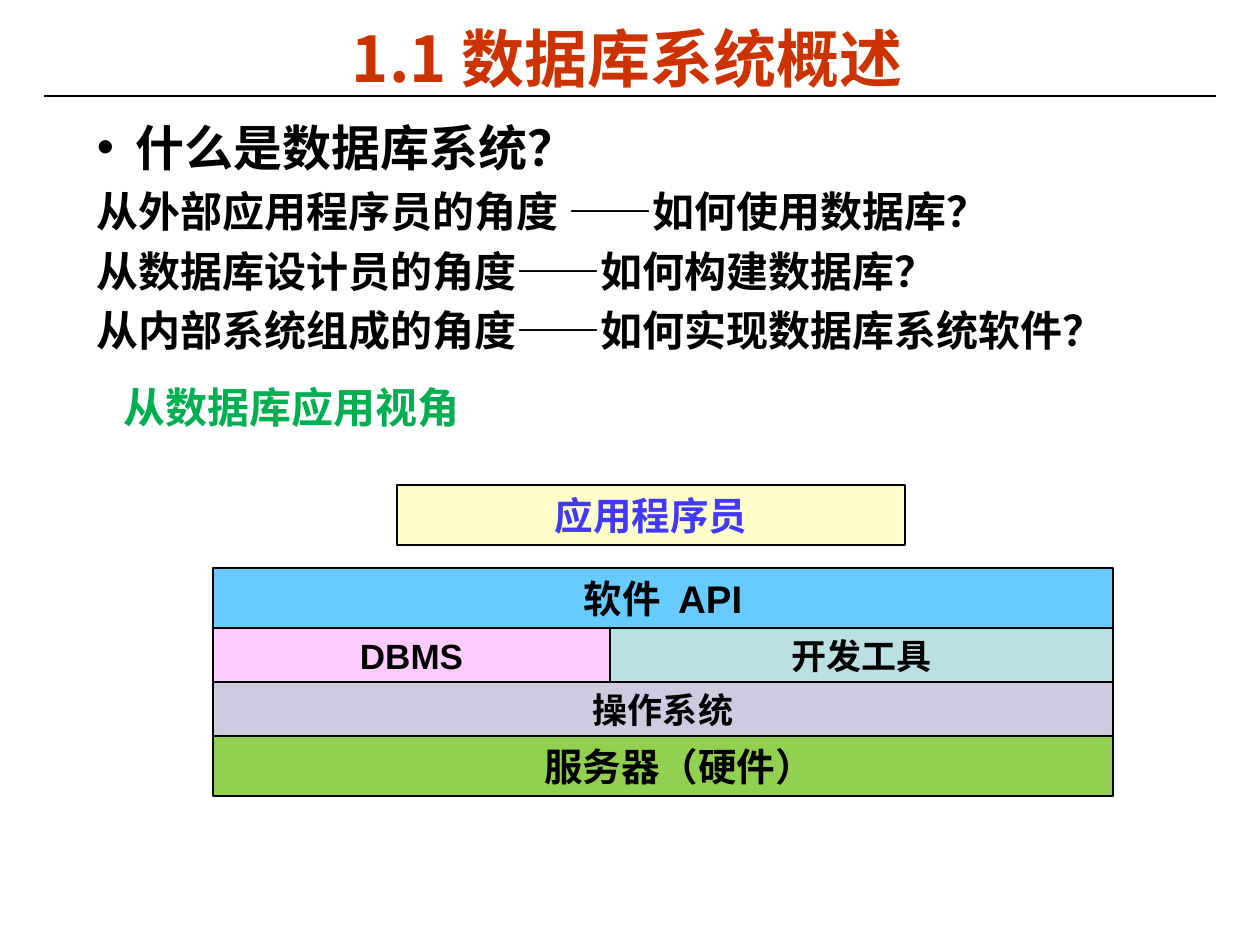
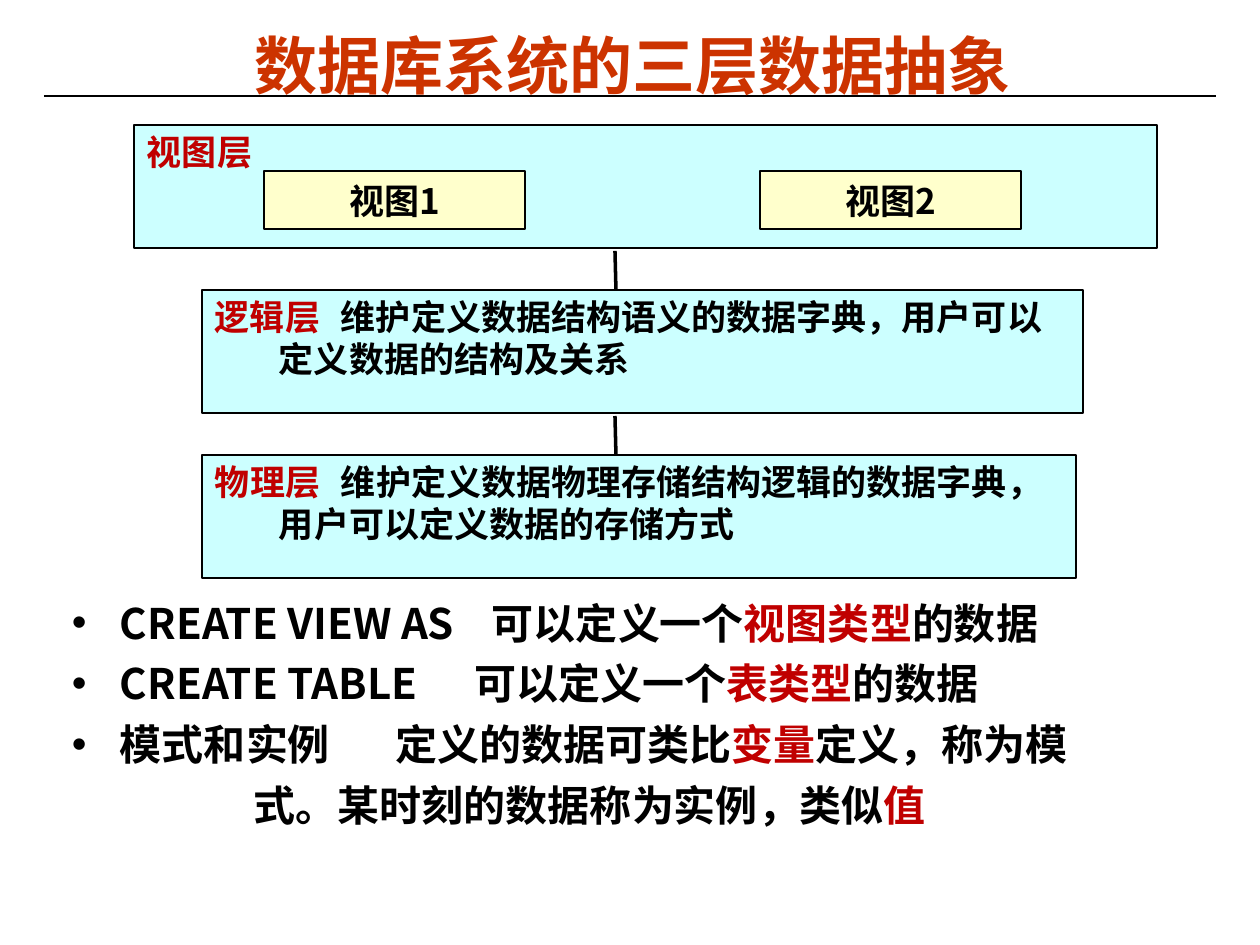
"""Builds two slides on database system basics and the three layers of data abstraction."""
from lxml import etree
from pptx import Presentation
from pptx.dml.color import RGBColor
from pptx.enum.shapes import MSO_CONNECTOR, MSO_SHAPE
from pptx.enum.text import MSO_ANCHOR, PP_ALIGN
from pptx.oxml.ns import qn
from pptx.util import Emu, Pt

STRAIGHT = MSO_CONNECTOR.STRAIGHT
RECTANGLE = MSO_SHAPE.RECTANGLE
TOP, MIDDLE = MSO_ANCHOR.TOP, MSO_ANCHOR.MIDDLE
LEFT, CENTER = PP_ALIGN.LEFT, PP_ALIGN.CENTER

EMU_PER_PX = 914400 / 126
CJK, LATIN = "Noto Sans CJK SC", "Arial"
LINE_HEIGHT = 1.2
COLORS = {
    "ink": "000000", "title": "CC3300", "key": "C00000", "view": "00B050",
    "user": "4138FA", "cream": "FFFFCC", "sky": "66CCFF", "pink": "FFCCFF",
    "teal": "BBE0E3", "lilac": "CFCAE0", "green": "92D050", "layer": "CCFFFF",
}

OVERVIEW_TITLE = "1.1 数据库系统概述"
QUESTION = "什么是数据库系统？"
ANGLES = [
    "从外部应用程序员的角度 ——如何使用数据库？",
    "从数据库设计员的角度——如何构建数据库？",
    "从内部系统组成的角度——如何实现数据库系统软件？",
]
VIEWPOINT = "从数据库应用视角"
PROGRAMMER = "应用程序员"
STACK = [
    (60, [("软件  API", 22, LATIN, "sky", 900, 0)]),
    (54, [("DBMS", 20, LATIN, "pink", 397, 0), ("开发工具", 20, CJK, "teal", 503, 0)]),
    (54, [("操作系统", 20, CJK, "lilac", 900, 0)]),
    (60, [("服务器（硬件）", 22, LATIN, "green", 900, 32)]),
]

ABSTRACTION_TITLE = "数据库系统的三层数据抽象"
VIEW_LAYER = "视图层"
VIEWS = ["视图1", "视图2"]
LAYERS = [
    ("逻辑层", "维护定义数据结构语义的数据字典，用户可以", "定义数据的结构及关系", 881),
    ("物理层", "维护定义数据物理存储结构逻辑的数据字典，", "用户可以定义数据的存储方式", 874),
]
STATEMENTS = [
    ("CREATE VIEW AS", 420, "可以定义一个", "视图类型", "的数据"),
    ("CREATE TABLE", 403, "可以定义一个", "表类型", "的数据"),
    ("模式和实例", 324, "定义的数据可类比", "变量", "定义，称为模"),
]
INSTANCE = [("式。某时刻的数据称为实例，类似", "ink"), ("值", "key")]


def px(value):
    return Emu(round(value * EMU_PER_PX))


def rgb(name):
    return RGBColor.from_string(COLORS[name])


def para(*runs, size=24, font=CJK, align=LEFT, margin=0, hang=0, bullet=False,
         tab=None, line=None, before=0):
    return dict(runs=runs, size=size, font=font, align=align, margin=margin, hang=hang,
                bullet=bullet, tab=tab, line=line or size * LINE_HEIGHT, before=before)


def add_bullet(props):
    color = etree.SubElement(props, qn("a:buClr"))
    etree.SubElement(color, qn("a:srgbClr"), val=COLORS["ink"])
    etree.SubElement(props, qn("a:buFont"), typeface=LATIN)
    etree.SubElement(props, qn("a:buChar"), char="•")


def write(shape, paragraphs, anchor=TOP, insets=(13, 6, 13, 6)):
    frame = shape.text_frame
    frame.word_wrap = True
    frame.vertical_anchor = anchor
    frame.margin_left, frame.margin_top, frame.margin_right, frame.margin_bottom = map(px, insets)
    for index, item in enumerate(paragraphs):
        paragraph = frame.add_paragraph() if index else frame.paragraphs[0]
        props = paragraph._p.get_or_add_pPr()
        props.set("marL", str(px(item["margin"])))
        props.set("indent", str(px(-item["hang"])))
        if item["bullet"]:
            add_bullet(props)
        else:
            etree.SubElement(props, qn("a:buNone"))
        if item["tab"]:
            stops = etree.SubElement(props, qn("a:tabLst"))
            etree.SubElement(stops, qn("a:tab"), pos=str(px(item["tab"])), algn="l")
        paragraph.alignment = item["align"]
        paragraph.line_spacing = Pt(item["line"])
        if index:
            paragraph.space_before = Pt(item["before"])
        for text, color in item["runs"]:
            run = paragraph.add_run()
            run.text = text
            run.font.size = Pt(item["size"])
            run.font.bold = True
            run.font.name = item["font"]
            run.font.color.rgb = rgb(color)
            etree.SubElement(run._r.get_or_add_rPr(), qn("a:ea"), typeface=CJK)


def add_text(slide, box, paragraphs, **layout):
    write(slide.shapes.add_textbox(*map(px, box)), paragraphs, **layout)


def add_box(slide, box, fill, paragraphs, weight=0.75, **layout):
    shape = slide.shapes.add_shape(RECTANGLE, *map(px, box))
    shape.shadow.inherit = False
    shape.fill.solid()
    shape.fill.fore_color.rgb = rgb(fill)
    shape.line.color.rgb = rgb("ink")
    shape.line.width = Pt(weight)
    write(shape, paragraphs, **layout)


def add_line(slide, ends, weight):
    line = slide.shapes.add_connector(STRAIGHT, *map(px, ends))
    line.line.color.rgb = rgb("ink")
    line.line.width = Pt(weight)
    etree.SubElement(line._element.spPr, qn("a:effectLst"))


def add_titled_slide(deck, title, left, top):
    slide = deck.slides.add_slide(deck.slide_layouts[6])
    add_line(slide, (44, 96, 1216, 96), 0.75)
    add_text(slide, (left, top, 1134, 77),
             [para((title, "title"), size=36, align=CENTER)], anchor=MIDDLE)
    return slide


def build_overview(deck):
    slide = add_titled_slide(deck, OVERVIEW_TITLE, 60, 19)
    hanging = dict(margin=39, hang=39, line=34)
    add_text(slide, (84, 111, 1123, 244),
             [para((QUESTION, "ink"), size=28, bullet=True, **hanging)]
             + [para((angle, "ink"), **hanging) for angle in ANGLES])
    add_text(slide, (110, 374, 1017, 64), [para((VIEWPOINT, "view"))], insets=(14, 8, 14, 8))
    add_box(slide, (397, 485, 508, 60), "cream",
            [para((PROGRAMMER, "user"), size=22, font=LATIN, align=CENTER)],
            anchor=MIDDLE, insets=(14, 0, 14, 0))
    top = 568
    for height, cells in STACK:
        left = 213
        for label, size, font, fill, width, shift in cells:
            add_box(slide, (left, top, width, height), fill,
                    [para((label, "ink"), size=size, font=font, align=CENTER)],
                    anchor=MIDDLE, insets=(14 + shift, 0, 14, 0))
            left += width
        top += height


def build_abstraction(deck):
    slide = add_titled_slide(deck, ABSTRACTION_TITLE, 66, 26)
    statements = [
        para((f"{name}\t{lead}", "ink"), (term, "key"), (tail, "ink"),
             margin=48, hang=48, bullet=True, tab=tab, before=6)
        for name, tab, lead, term, tail in STATEMENTS
    ]
    add_text(slide, (59, 591, 1166, 296),
             statements + [para(*INSTANCE, margin=182, before=6)])

    layer_top, layer_height, layer_pitch = 125, 123, 165
    add_box(slide, (134, layer_top, 1023, layer_height), "layer",
            [para((VIEW_LAYER, "key"), size=20)], weight=1)
    for index, view in enumerate(VIEWS):
        add_box(slide, (264 + 496 * index, 171, 261, 58), "cream",
                [para((view, "ink"), size=20, align=CENTER)], weight=1, anchor=MIDDLE)
    for index, (name, start, rest, width) in enumerate(LAYERS, 1):
        top = layer_top + layer_pitch * index
        add_box(slide, (202, top, width, layer_height), "layer",
                [para((f"{name}\t", "key"), (start, "ink"), size=20, tab=122),
                 para((rest, "ink"), size=20, margin=64)], weight=1)
        add_line(slide, (615, top - 39, 616, top), 2)


def main():
    deck = Presentation()
    deck.slide_width, deck.slide_height = px(1260), px(945)
    build_overview(deck)
    build_abstraction(deck)
    deck.save("out.pptx")


if __name__ == "__main__":
    main()
